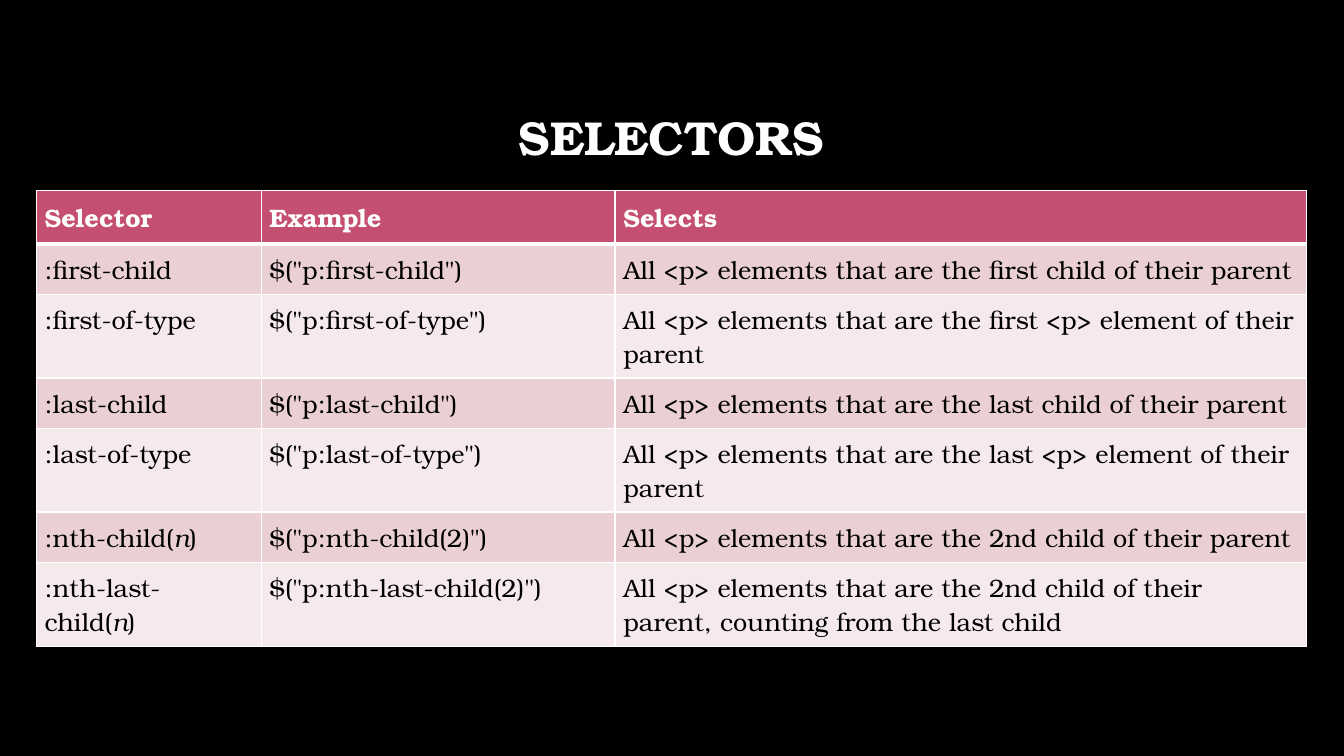
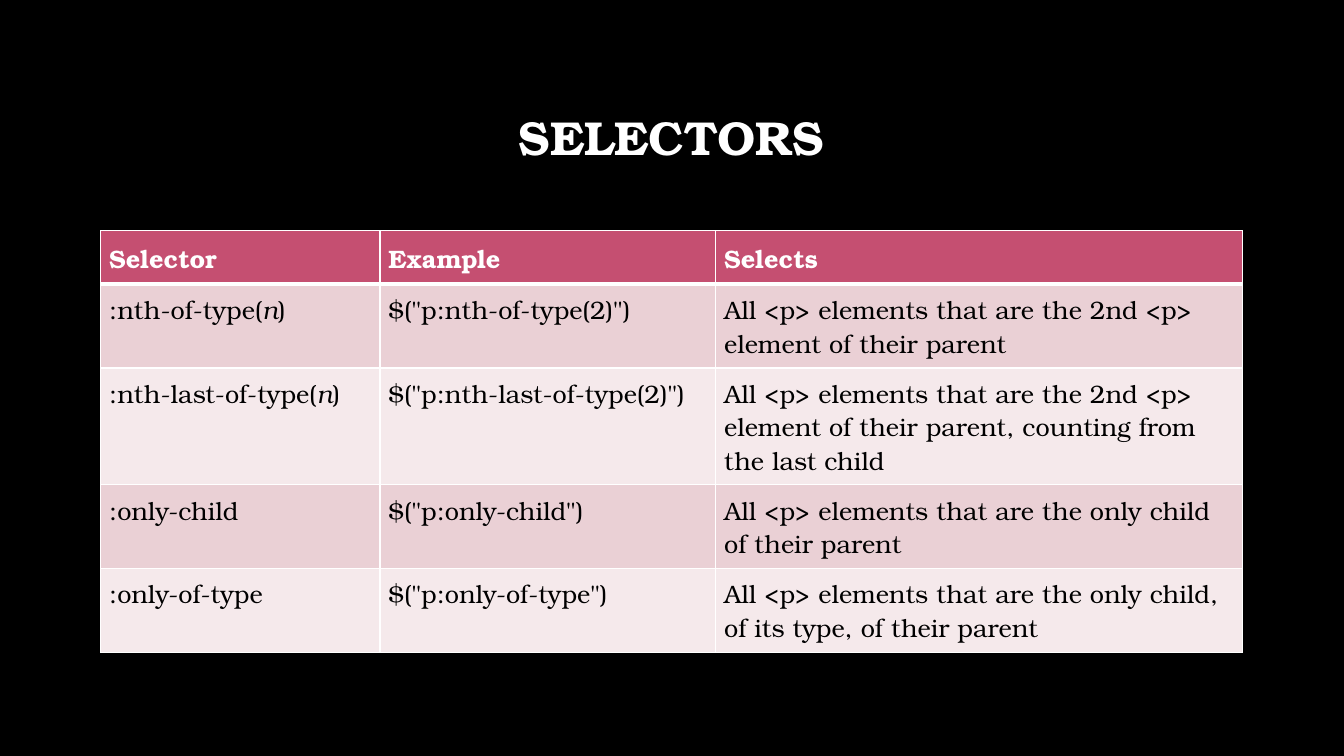
from lxml import etree
from pptx import Presentation
from pptx.dml.color import RGBColor
from pptx.enum.text import MSO_ANCHOR, PP_ALIGN
from pptx.oxml.ns import qn
from pptx.util import Inches, Pt

FONT = "TeX Gyre Bonum"
BLACK, WHITE = "000000", "FFFFFF"
HEADER_FILL = "C54F71"
BAND_FILLS = ["EAD0D5", "F5E9EB"]
HEADER = ("Selector", "Example", "Selects")
HEADER_HEIGHT = 0.53
LINE_HEIGHT = 0.33
ROW_PADDING = 0.17
PADDING = Pt(6)

TABLES = [
    (0.36, 1.89, [2.23, 3.51, 6.86], [1, 2, 1, 2, 1, 2], [
        (":first-child", '$("p:first-child")',
         "All <p> elements that are the first child of their parent"),
        (":first-of-type", '$("p:first-of-type")',
         "All <p> elements that are the first <p> element of their parent"),
        (":last-child", '$("p:last-child")',
         "All <p> elements that are the last child of their parent"),
        (":last-of-type", '$("p:last-of-type")',
         "All <p> elements that are the last <p> element of their parent"),
        (":nth-child(*n*)", '$("p:nth-child(2)")',
         "All <p> elements that are the 2nd child of their parent"),
        (":nth-last-child(*n*)", '$("p:nth-last-child(2)")',
         "All <p> elements that are the 2nd child of their parent, "
         "counting from the last child"),
    ]),
    (1, 2.29, [2.77, 3.33, 5.22], [2, 3, 2, 2], [
        (":nth-of-type(*n*)", '$("p:nth-of-type(2)")',
         "All <p> elements that are the 2nd <p> element of their parent"),
        (":nth-last-of-type(*n*)", '$("p:nth-last-of-type(2)")',
         "All <p> elements that are the 2nd <p> element of their parent, "
         "counting from the last child"),
        (":only-child", '$("p:only-child")',
         "All <p> elements that are the only child of their parent"),
        (":only-of-type", '$("p:only-of-type")',
         "All <p> elements that are the only child, of its type, "
         "of their parent"),
    ]),
]


def paint(fill, color):
    fill.solid()
    fill.fore_color.rgb = RGBColor.from_string(color)


def style(font, size, color, bold):
    font.name, font.size, font.bold = FONT, Pt(size), bold
    font.color.rgb = RGBColor.from_string(color)


prs = Presentation()
prs.slide_width, prs.slide_height = Inches(13.33), Inches(7.5)

for left, top, widths, line_counts, rows in TABLES:
    s = prs.slides.add_slide(prs.slide_layouts[6])
    paint(s.background.fill, BLACK)

    title = s.shapes.add_textbox(Inches(1), Inches(0.66),
                                 Inches(11.32), Inches(1.45))
    tf = title.text_frame
    tf.word_wrap = True
    tf.vertical_anchor = MSO_ANCHOR.MIDDLE
    p = tf.paragraphs[0]
    p.text = "SELECTORS"
    p.alignment = PP_ALIGN.CENTER
    p.line_spacing = 0.9
    style(p.font, 34, WHITE, True)

    lines = [HEADER] + rows
    heights = [HEADER_HEIGHT] + [ROW_PADDING + LINE_HEIGHT * n for n in line_counts]
    table = s.shapes.add_table(
        len(lines), len(widths), Inches(left), Inches(top),
        Inches(sum(widths)), Inches(sum(heights))).table
    for column, width in zip(table.columns, widths):
        column.width = Inches(width)

    for i, (line, height) in enumerate(zip(lines, heights)):
        table.rows[i].height = Inches(height)
        is_header = i == 0
        borders = {"L": 1, "R": 1, "T": 3 if i == 1 else 1,
                   "B": 3 if is_header else 1}
        for j, text in enumerate(line):
            cell = table.cell(i, j)
            cell.margin_left = cell.margin_top = cell.margin_bottom = PADDING
            cell.margin_right = Inches(0.1)
            tcPr = cell._tc.get_or_add_tcPr()
            for side, width in borders.items():
                ln = etree.SubElement(tcPr, qn("a:ln" + side), w=str(Pt(width)))
                solid = etree.SubElement(ln, qn("a:solidFill"))
                etree.SubElement(solid, qn("a:srgbClr"), val=WHITE)
            paint(cell.fill, HEADER_FILL if is_header else BAND_FILLS[(i - 1) % 2])

            p = cell.text_frame.paragraphs[0]
            style(p.font, 18, WHITE if is_header else BLACK, is_header)
            for k, part in enumerate(text.split("*")):
                r = p.add_run()
                r.text = part
                if k % 2:
                    r.font.italic = True

prs.save("out.pptx")
